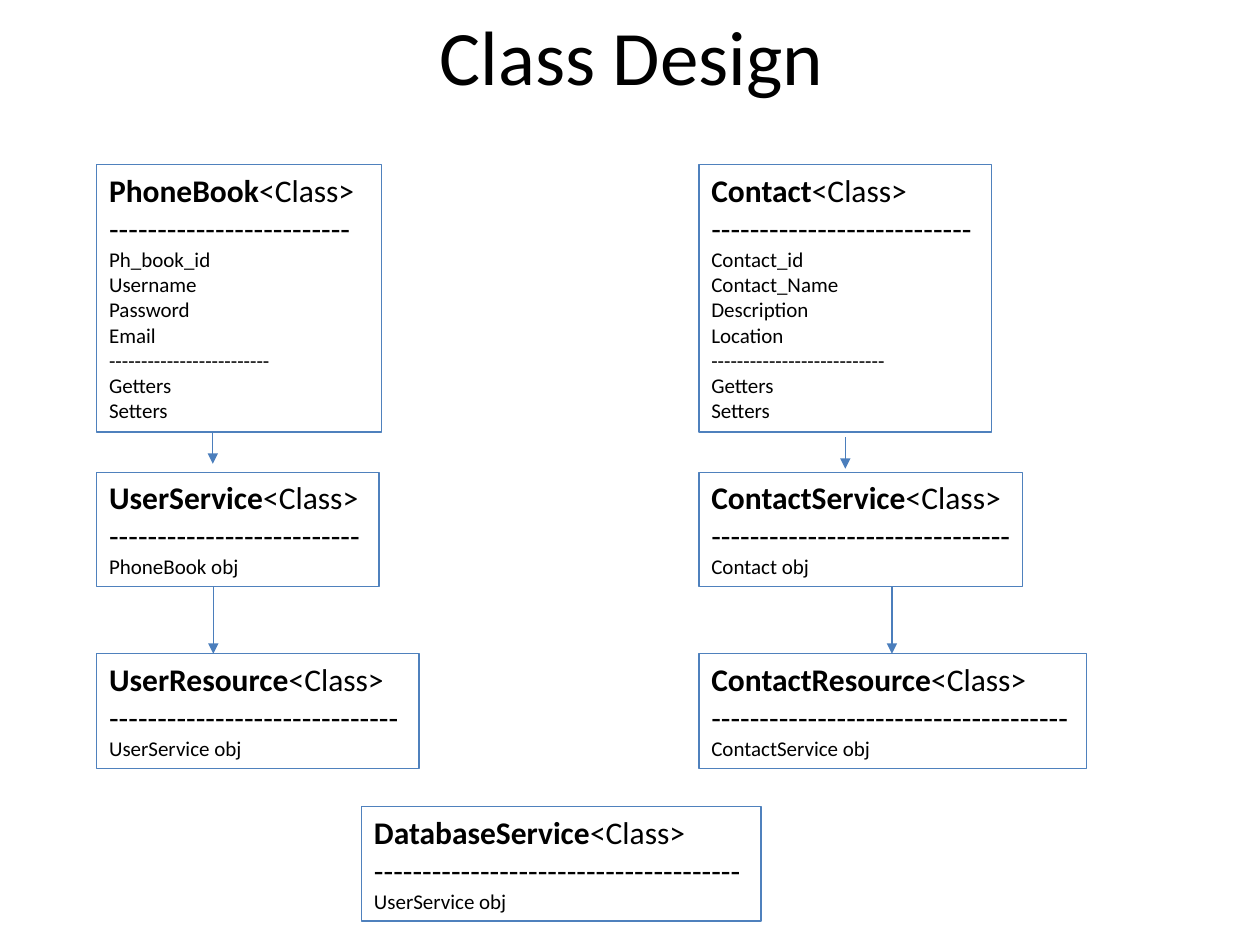
from dataclasses import dataclass

from lxml.etree import SubElement
from pptx import Presentation
from pptx.dml.color import RGBColor
from pptx.enum.shapes import MSO_CONNECTOR as Connector, MSO_SHAPE as Shape
from pptx.enum.text import MSO_ANCHOR as Anchor, MSO_AUTO_SIZE as AutoSize, PP_ALIGN as Align
from pptx.oxml.ns import qn
from pptx.util import Cm, Pt


@dataclass(frozen=True)
class Theme:
    font: str = "Calibri"
    text: RGBColor = RGBColor(0x00, 0x00, 0x00)
    border: RGBColor = RGBColor(0x4F, 0x81, 0xBD)
    arrow: RGBColor = RGBColor(0x4B, 0x7E, 0xBC)
    title_size: Pt = Pt(44)
    name_size: Pt = Pt(18)
    member_size: Pt = Pt(12)
    line_width: Pt = Pt(0.75)


THEME = Theme()
TITLE = "Class Design"
DIVIDER = "divider"
ACCESSORS = [DIVIDER, "Getters", "Setters"]

LEFT, CENTER, RIGHT = 1.95, 7.29, 14.09
MODEL_ROW, SERVICE_ROW, RESOURCE_ROW, DATABASE_ROW = 3.32, 9.52, 13.18, 16.26
MODEL_HEIGHT, SHORT_HEIGHT = 5.39, 2.31

# name, left, top, width, height, dashes, members
CLASSES = [
    ("PhoneBook", LEFT, MODEL_ROW, 5.74, MODEL_HEIGHT, 25,
     ["Ph_book_id", "Username", "Password", "Email", *ACCESSORS]),
    ("Contact", RIGHT, MODEL_ROW, 5.9, MODEL_HEIGHT, 27,
     ["Contact_id", "Contact_Name", "Description", "Location", *ACCESSORS]),
    ("UserService", LEFT, SERVICE_ROW, 5.69, SHORT_HEIGHT, 26, ["PhoneBook obj"]),
    ("UserResource", LEFT, RESOURCE_ROW, 6.5, SHORT_HEIGHT, 30, ["UserService obj"]),
    ("ContactService", RIGHT, SERVICE_ROW, 6.53, SHORT_HEIGHT, 31, ["Contact obj"]),
    ("ContactResource", RIGHT, RESOURCE_ROW, 7.82, SHORT_HEIGHT, 37, ["ContactService obj"]),
    ("DatabaseService", CENTER, DATABASE_ROW, 8.05, SHORT_HEIGHT, 38, ["UserService obj"]),
]

MODEL_BOTTOM = MODEL_ROW + MODEL_HEIGHT
SERVICE_BOTTOM = SERVICE_ROW + SHORT_HEIGHT
ARROWS = [
    (4.29, MODEL_BOTTOM, 9.35),
    (4.3, SERVICE_BOTTOM, RESOURCE_ROW),
    (17.04, 8.81, 9.45),
    (17.98, SERVICE_BOTTOM, RESOURCE_ROW),
]


def style_paragraph(para, size, align=Align.LEFT):
    para.alignment = align
    para.font.name = THEME.font
    para.font.size = size
    para.font.color.rgb = THEME.text


def add_title(page):
    title = page.shapes.title
    title.left, title.top, title.width, title.height = Cm(1.3), Cm(-0.48), Cm(22.86), Cm(3.18)
    title.text_frame.text = TITLE
    title.text_frame.vertical_anchor = Anchor.MIDDLE
    style_paragraph(title.text_frame.paragraphs[0], THEME.title_size, Align.CENTER)


def add_class(page, name, left, top, width, height, dashes, members):
    box = page.shapes.add_shape(Shape.RECTANGLE, Cm(left), Cm(top), Cm(width), Cm(height))
    box.shadow.inherit = False
    box.fill.background()
    box.line.color.rgb = THEME.border
    box.line.width = THEME.line_width

    frame = box.text_frame
    frame.word_wrap = True
    frame.auto_size = AutoSize.SHAPE_TO_FIT_TEXT
    frame.vertical_anchor = Anchor.TOP
    frame.margin_right = Cm(0.1)

    heading = frame.paragraphs[0]
    style_paragraph(heading, THEME.name_size)
    for text, bold in ((name, True), ("<Class>", False)):
        span = heading.add_run()
        span.text = text
        span.font.bold = bold

    rule = "-" * dashes
    lines = [(rule, THEME.name_size)]
    lines += [(rule if member == DIVIDER else member, THEME.member_size) for member in members]
    for text, size in lines:
        para = frame.add_paragraph()
        para.text = text
        style_paragraph(para, size)


def add_arrow(page, x, top, bottom):
    arrow = page.shapes.add_connector(Connector.STRAIGHT, Cm(x), Cm(top), Cm(x), Cm(bottom))
    arrow.line.color.rgb = THEME.arrow
    arrow.line.width = THEME.line_width
    SubElement(arrow.line._get_or_add_ln(), qn("a:tailEnd"), type="triangle")
    SubElement(arrow._element.spPr, qn("a:effectLst"))


def main():
    deck = Presentation()
    deck.slide_width, deck.slide_height = Cm(25.4), Cm(19.05)
    page = deck.slides.add_slide(deck.slide_layouts[5])
    add_title(page)
    for entry in CLASSES:
        add_class(page, *entry)
    for entry in ARROWS:
        add_arrow(page, *entry)
    deck.save("out.pptx")


if __name__ == "__main__":
    main()
